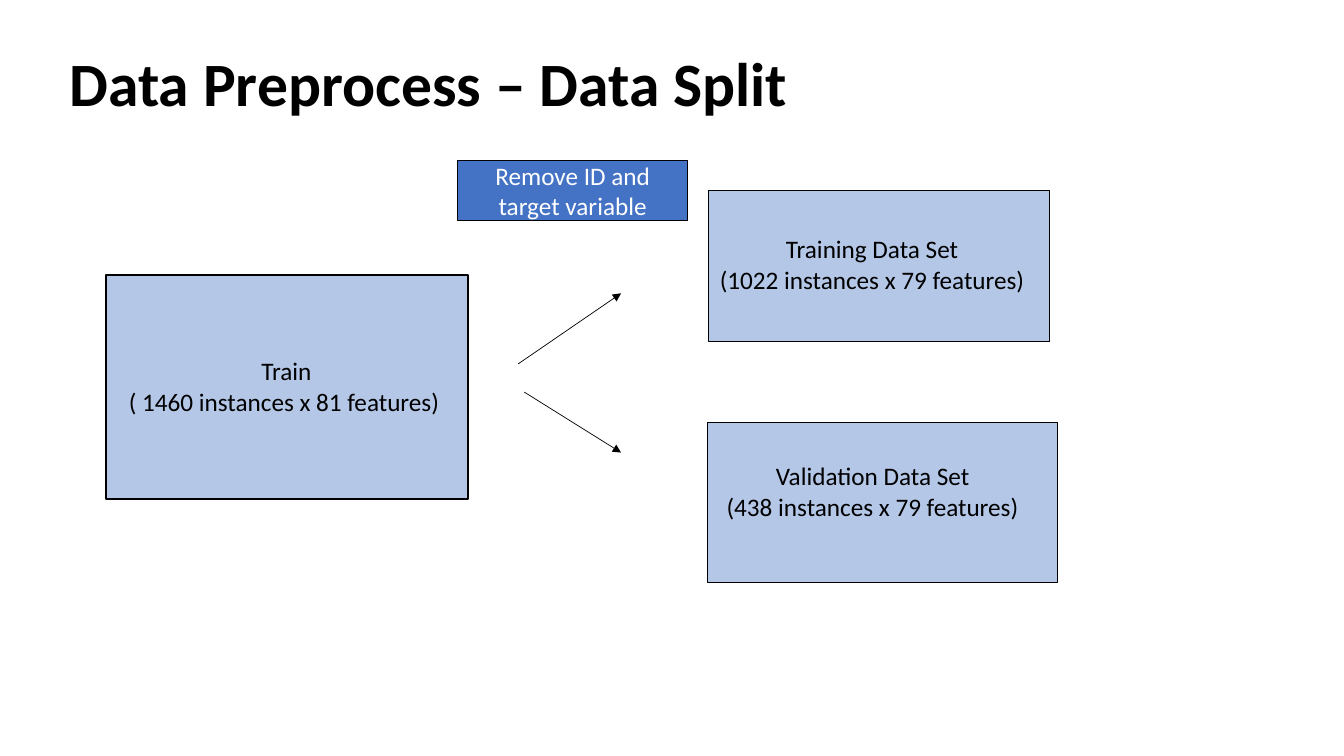
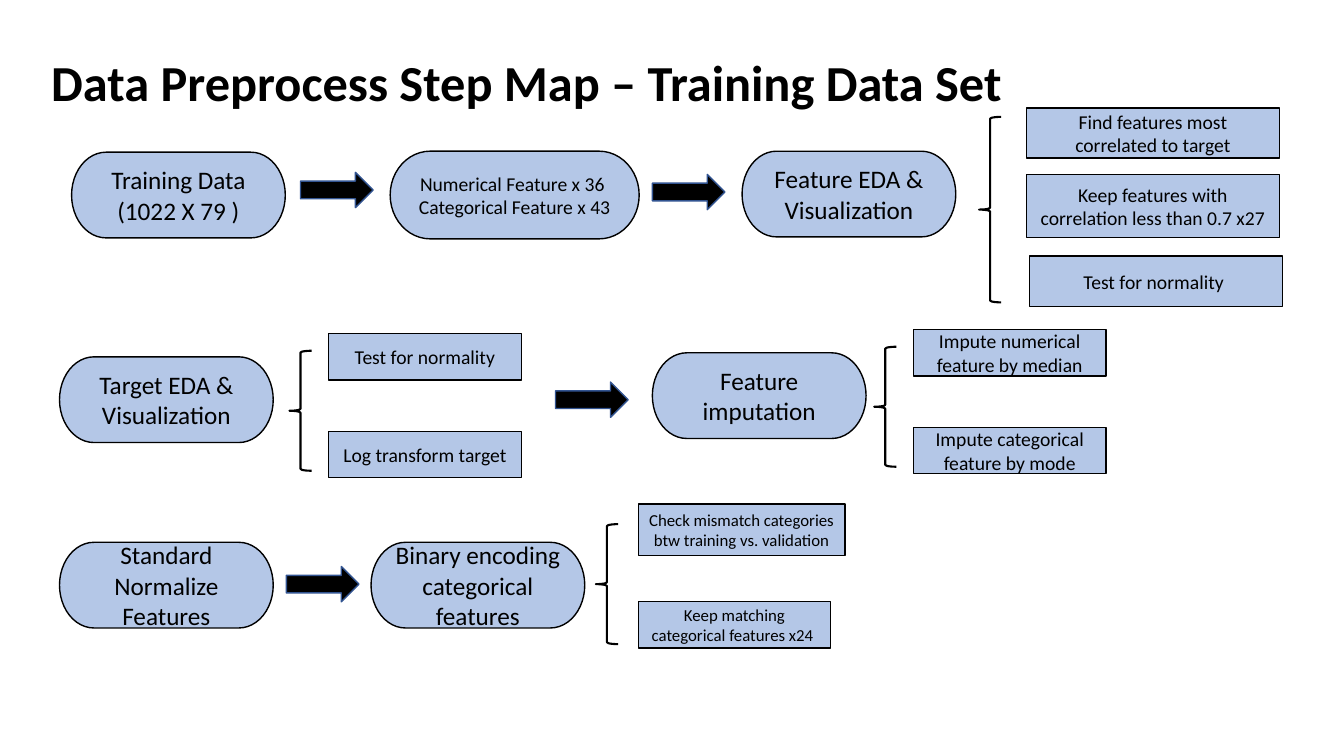
from lxml import etree
from pptx import Presentation
from pptx.dml.color import RGBColor
from pptx.enum.shapes import MSO_CONNECTOR, MSO_SHAPE
from pptx.enum.text import MSO_ANCHOR, PP_ALIGN
from pptx.oxml.ns import qn
from pptx.util import Emu, Pt

SCALE = 9144  # EMU per px, 100 px to the inch


def px(n):
    return Emu(n * SCALE)


def rgb(value):
    return RGBColor.from_string(value)


def put_text(tf, text, size=18, color="000000", bold=False, font="Calibri",
             aligns=(PP_ALIGN.CENTER,), anchor=MSO_ANCHOR.MIDDLE, spacing=None):
    """Write one paragraph per line; the last alignment serves all further lines."""
    tf.word_wrap = True
    tf.vertical_anchor = anchor
    for i, line in enumerate(text.split("\n")):
        p = tf.add_paragraph() if i else tf.paragraphs[0]
        p.alignment = aligns[min(i, len(aligns) - 1)]
        if spacing:
            p.line_spacing = spacing
        r = p.add_run()
        r.text = line
        r.font.name, r.font.size, r.font.bold = font, Pt(size), bold
        r.font.color.rgb = rgb(color)


class Deck:
    INK, PALE, ACCENT, ARROW_EDGE = "000000", "B4C7E7", "4472C4", "325491"
    STEP_W, STEP_H = 212, 85

    def __init__(self):
        self.prs = Presentation()
        self.prs.slide_width, self.prs.slide_height = px(1333), px(750)
        self.s = None

    def slide(self, title, x, y, size):
        self.s = self.prs.slides.add_slide(self.prs.slide_layouts[6])
        self.label(title, x, y, 1150, 145, size=size, bold=True, spacing=0.9,
                   aligns=(PP_ALIGN.LEFT,), anchor=MSO_ANCHOR.MIDDLE)

    def label(self, text, x, y, w, h, anchor=MSO_ANCHOR.TOP, **fmt):
        sp = self.s.shapes.add_textbox(px(x), px(y), px(w), px(h))
        put_text(sp.text_frame, text, anchor=anchor, **fmt)

    def shape(self, kind, x, y, w, h, fill=PALE, line=INK, weight=1):
        sp = self.s.shapes.add_shape(kind, px(x), px(y), px(w), px(h))
        sp.shadow.inherit = False
        if fill:
            sp.fill.solid()
            sp.fill.fore_color.rgb = rgb(fill)
        else:
            sp.fill.background()
        sp.line.color.rgb = rgb(line)
        sp.line.width = Pt(weight)
        return sp

    def box(self, x, y, w, h, text="", fill=PALE, **fmt):
        sp = self.shape(MSO_SHAPE.RECTANGLE, x, y, w, h, fill)
        if text:
            put_text(sp.text_frame, text, **fmt)

    def step(self, text, x, y, w=STEP_W, h=STEP_H, **fmt):
        sp = self.shape(MSO_SHAPE.FLOWCHART_TERMINATOR, x, y, w, h)
        put_text(sp.text_frame, text, **fmt)

    def block_arrow(self, x, y):
        self.shape(MSO_SHAPE.RIGHT_ARROW, x, y, 72, 35, self.INK, self.ARROW_EDGE)

    def brace(self, x, y, h=119):
        self.shape(MSO_SHAPE.LEFT_BRACE, x, y, 22, h, fill=None, weight=1.5)

    def thin_arrow(self, x1, y1, x2, y2):
        c = self.s.shapes.add_connector(MSO_CONNECTOR.STRAIGHT,
                                        px(x1), px(y1), px(x2), px(y2))
        c.line.color.rgb = rgb(self.INK)
        c.line.width = Pt(0.5)
        etree.SubElement(c.line._get_or_add_ln(), qn("a:tailEnd"), type="triangle")
        etree.SubElement(c._element.spPr, qn("a:effectLst"))


def split_slide(d):
    d.slide("Data Preprocess – Data Split", 59, 13, 44)

    # Source data
    d.box(105, 273, 359, 222)
    d.label("Train\n( 1460 instances x 81 features)", 118, 348, 332, 71,
            aligns=(PP_ALIGN.CENTER, PP_ALIGN.LEFT))

    # Split arrows
    d.thin_arrow(514, 361, 616, 291)
    d.thin_arrow(520, 389, 616, 449)

    # Resulting sets
    d.box(703, 189, 338, 150)
    d.box(702, 419, 347, 159)
    d.label("Training Data Set\n(1022 instances x 79 features)", 702, 227, 326, 71)
    d.label("Validation Data Set\n(438 instances x 79 features)", 709, 452, 313, 71)

    # Removal note
    d.box(454, 159, 228, 60, "Remove ID and target variable",
          fill=d.ACCENT, color="FFFFFF")


def step_map_slide(d):
    d.slide("Data Preprocess Step Map – Training Data Set", 41, 12, 36)

    # Main steps
    d.step("Training Data\n(1022 X 79 )", 71, 151)
    d.step("Numerical Feature x 36 \nCategorical Feature x 43", 387, 150, 247, 87, size=14)
    for text, x, y in [
        ("Feature EDA & Visualization", 736, 150),
        ("Target EDA & Visualization", 59, 354),
        ("Feature imputation", 647, 350),
        ("Standard Normalize Features", 59, 538),
        ("Binary encoding categorical features", 368, 538),
    ]:
        d.step(text, x, y)

    # Arrows between steps
    for x, y in [(298, 171), (647, 173), (551, 379), (284, 562)]:
        d.block_arrow(x, y)

    # Feature EDA details
    d.brace(971, 116, 184)
    for text, x, y, h in [
        ("Find features most correlated to target", 1018, 107, 50),
        ("Keep features with correlation less than 0.7 x27", 1018, 173, 63),
        ("Test for normality ", 1021, 254, 50),
    ]:
        d.box(x, y, 251, h, text, size=14)

    # Target EDA and imputation details
    for x, y, details in [
        (287, 348, ("Test for normality", "Log transform target")),
        (867, 344, ("Impute numerical feature by median",
                    "Impute categorical feature by mode")),
    ]:
        d.brace(x, y)
        for i, text in enumerate(details):
            d.box(x + 39, y - 17 + 97 * i, 191, 46, text, size=14)

    # Encoding details
    d.brace(591, 520)
    d.box(633, 500, 205, 51, "Check mismatch categories btw training vs. validation", size=12)
    d.box(633, 597, 191, 46, "Keep matching categorical features x24 ", size=12)


def main():
    d = Deck()
    split_slide(d)
    step_map_slide(d)
    d.prs.save("out.pptx")


if __name__ == "__main__":
    main()
